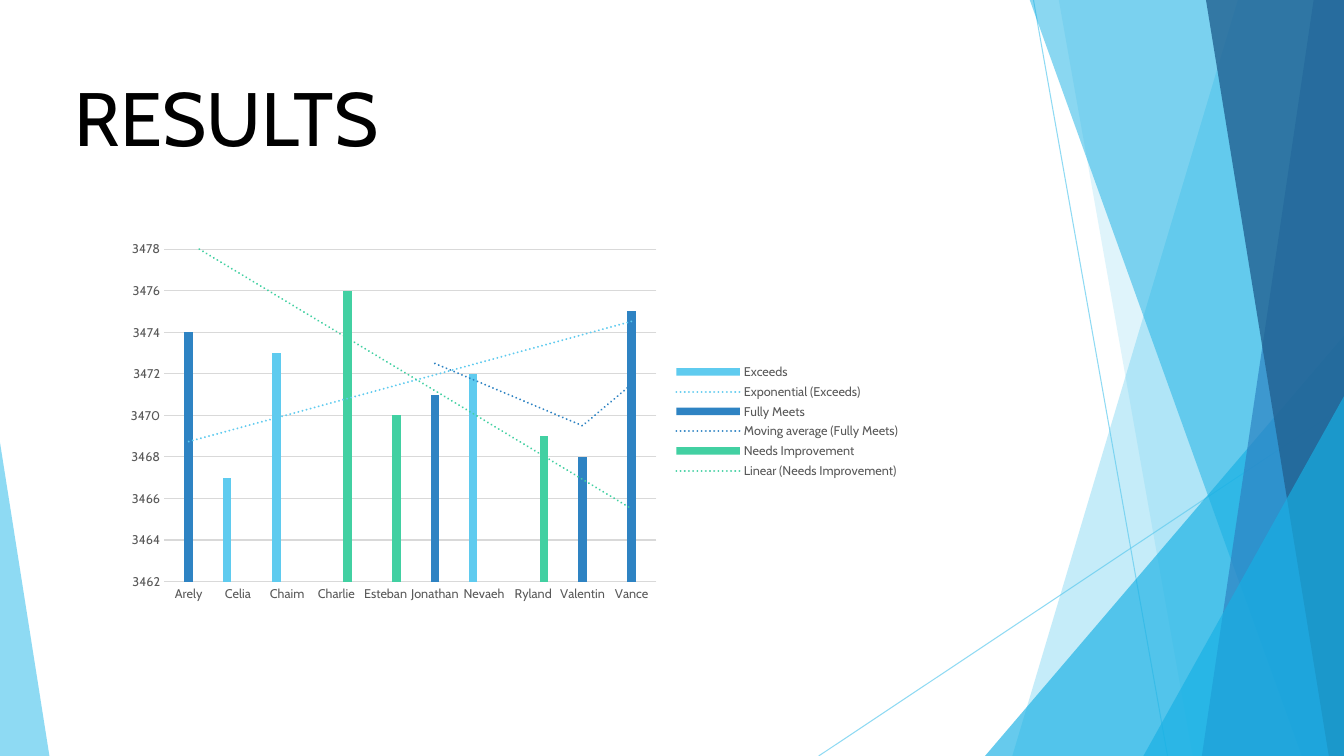
from dataclasses import dataclass

from lxml.etree import SubElement
from pptx import Presentation
from pptx.chart.data import CategoryChartData
from pptx.dml.color import RGBColor
from pptx.enum.chart import XL_CHART_TYPE as ChartType
from pptx.enum.chart import XL_LEGEND_POSITION as LegendPosition
from pptx.enum.chart import XL_TICK_MARK as TickMark
from pptx.enum.shapes import MSO_CONNECTOR as Connector
from pptx.enum.shapes import MSO_SHAPE as Shape
from pptx.enum.text import MSO_ANCHOR as Anchor
from pptx.enum.text import MSO_AUTO_SIZE as AutoSize
from pptx.enum.text import PP_ALIGN as Align
from pptx.oxml import parse_xml
from pptx.oxml.ns import nsdecls, qn
from pptx.util import Pt

PX = 9144
WIDTH, HEIGHT = 1333, 750


@dataclass(frozen=True)
class Theme:
    """Colours, font and type sizes of the slide."""
    font: str = "Cabin"
    title_size: int = 54
    label_size: int = 9
    ink: str = "000000"
    label: str = "595959"
    grid: str = "D9D9D9"
    sky: str = "5FCBEF"
    azure: str = "17B0E4"
    blue: str = "2E83C3"
    navy: str = "226292"
    green: str = "42D0A2"


THEME = Theme()

RAYS = [((1025, 0), (1158, HEIGHT)), ((WIDTH, 403), (812, HEIGHT))]
BACK_BANDS = [
    (1228, 1004, THEME.sky, 36),
    (1050, 1183, THEME.sky, 20),
]
FRONT_BANDS = [
    (1021, 1291, THEME.azure, 50),
    (1303, 1192, THEME.blue, 70),
    (1196, 1318, THEME.navy, 80),
]
NAMES = ["Arely", "Celia", "Chaim", "Charlie", "Esteban",
         "Jonathan", "Nevaeh", "Ryland", "Valentin", "Vance"]
RATINGS = [
    ("Exceeds", THEME.sky, "exp", "Exponential",
     {"Celia": 3467, "Chaim": 3473, "Nevaeh": 3472}),
    ("Fully Meets", THEME.blue, "movingAvg", "Moving average",
     {"Arely": 3474, "Jonathan": 3471, "Valentin": 3468, "Vance": 3475}),
    ("Needs Improvement", THEME.green, "linear", "Linear",
     {"Charlie": 3476, "Esteban": 3470, "Ryland": 3469}),
]


def px(*lengths):
    """Turn whole px into EMU."""
    return [length * PX for length in lengths]


def rgb(code):
    """Return the colour for a hex code."""
    return RGBColor.from_string(code)


def set_opacity(shape, percent):
    """Make every plain colour of a shape partly transparent."""
    for colour in shape._element.iter(qn("a:srgbClr")):
        SubElement(colour, qn("a:alpha")).set("val", str(percent * 1000))


def paint(shape, colour, percent):
    """Fill a shape without outline or shadow."""
    shape.shadow.inherit = False
    shape.fill.solid()
    shape.fill.fore_color.rgb = rgb(colour)
    shape.line.fill.background()
    set_opacity(shape, percent)


def add_ray(page, start, end):
    """Draw a thin translucent line."""
    ray = page.shapes.add_connector(Connector.STRAIGHT, *px(*start, *end))
    ray.line.color.rgb = rgb(THEME.sky)
    ray.line.width = Pt(0.75)
    SubElement(ray._element.spPr, qn("a:effectLst"))
    set_opacity(ray, 70)


def add_band(page, top_x, bottom_x, colour, percent):
    """Draw a slanted band that reaches the right edge."""
    outline = page.shapes.build_freeform(top_x, -1, scale=PX)
    outline.add_line_segments(
        [(WIDTH, -1), (WIDTH, HEIGHT), (bottom_x, HEIGHT)], close=True)
    paint(outline.convert_to_shape(), colour, percent)


def add_wedge(page, left, top, width, apex, colour, percent):
    """Draw a triangle standing on the bottom edge."""
    wedge = page.shapes.add_shape(
        Shape.ISOSCELES_TRIANGLE, *px(left, top, width, HEIGHT - top))
    wedge.adjustments[0] = apex
    paint(wedge, colour, percent)


def add_backdrop(page):
    """Draw the layered facets from back to front."""
    for start, end in RAYS:
        add_ray(page, start, end)
    for band in BACK_BANDS:
        add_band(page, *band)
    add_wedge(page, 977, 333, 356, 1, THEME.azure, 66)
    for band in FRONT_BANDS:
        add_band(page, *band)
    add_wedge(page, 1134, 393, 199, 1, THEME.azure, 66)
    add_wedge(page, 0, 439, 49, 0, THEME.sky, 70)


def set_font(font, size, colour):
    """Apply the slide's typeface, a size and a colour."""
    font.name = THEME.font
    font.size = Pt(size)
    font.color.rgb = rgb(colour)


def add_title(page, words):
    """Place and format the title."""
    title = page.shapes.title
    title.left, title.top, title.width, title.height = px(64, 65, 759, 101)
    frame = title.text_frame
    frame.word_wrap = True
    frame.auto_size = AutoSize.SHAPE_TO_FIT_TEXT
    frame.vertical_anchor = Anchor.MIDDLE
    para = frame.paragraphs[0]
    para.alignment = Align.LEFT
    span = para.add_run()
    span.text = words
    set_font(span.font, THEME.title_size, THEME.ink)


def add_trend(series, colour, kind, name):
    """Add a dotted trend line to a series."""
    period = '<c:period val="2"/>' if kind == "movingAvg" else ""
    trend = parse_xml(
        f'<c:trendline {nsdecls("c", "a")}><c:name>{name}</c:name>'
        f'<c:spPr><a:ln w="{Pt(1.5)}" cap="rnd"><a:solidFill>'
        f'<a:srgbClr val="{colour}"/></a:solidFill>'
        f'<a:prstDash val="sysDot"/></a:ln></c:spPr>'
        f'<c:trendlineType val="{kind}"/>{period}'
        f'<c:dispRSqr val="0"/><c:dispEq val="0"/></c:trendline>')
    series._element.find(qn("c:cat")).addprevious(trend)


def format_axes(chart):
    """Set the scale, grid and labels of both axes."""
    values, names = chart.value_axis, chart.category_axis
    for axis in (values, names):
        axis.major_tick_mark = axis.minor_tick_mark = TickMark.NONE
        set_font(axis.tick_labels.font, THEME.label_size, THEME.label)
    values.minimum_scale, values.maximum_scale = 3462, 3478
    values.major_unit = 2
    values.format.line.fill.background()
    for line in (values.major_gridlines.format.line, names.format.line):
        line.color.rgb = rgb(THEME.grid)
        line.width = Pt(0.75)


def add_rating_chart(page):
    """Add the column chart with its trend lines and legend."""
    data = CategoryChartData(number_format="General")
    data.categories = NAMES
    for label, _, _, _, scores in RATINGS:
        data.add_series(label, [scores.get(name) for name in NAMES])
    chart = page.shapes.add_chart(
        ChartType.COLUMN_CLUSTERED, *px(114, 232, 789, 372), data).chart
    set_font(chart.font, 10, THEME.ink)
    chart.has_title = False
    plot = chart.plots[0]
    plot.vary_by_categories = False
    plot.gap_width, plot.overlap = 219, -27
    for series, (label, colour, kind, trend, _) in zip(plot.series, RATINGS):
        series.format.fill.solid()
        series.format.fill.fore_color.rgb = rgb(colour)
        add_trend(series, colour, kind, f"{trend} ({label})")
    format_axes(chart)
    chart.has_legend = True
    chart.legend.position = LegendPosition.RIGHT
    chart.legend.include_in_layout = False
    set_font(chart.legend.font, THEME.label_size, THEME.label)


def main():
    """Build and save the slide."""
    deck = Presentation()
    deck.slide_width, deck.slide_height = px(WIDTH, HEIGHT)
    page = deck.slides.add_slide(deck.slide_layouts[5])
    add_backdrop(page)
    add_title(page, "RESULTS")
    add_rating_chart(page)
    deck.save("out.pptx")


if __name__ == "__main__":
    main()
